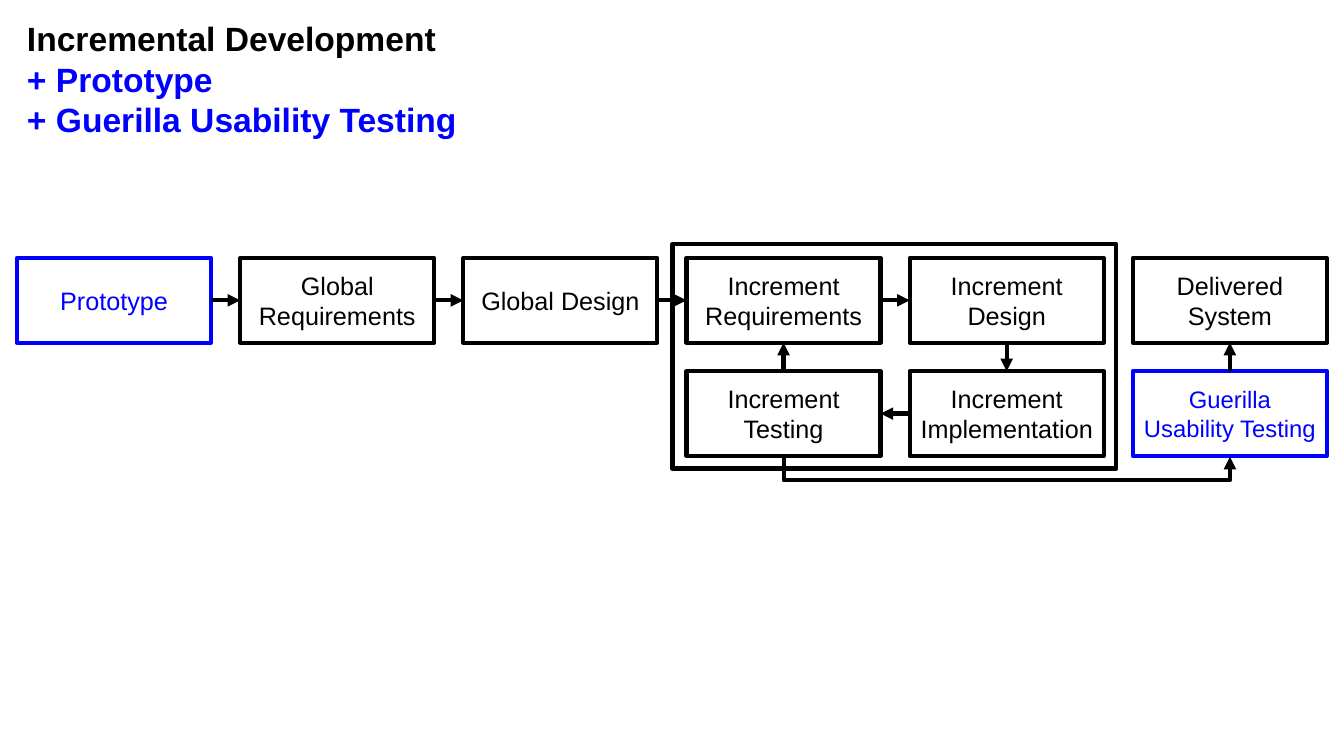
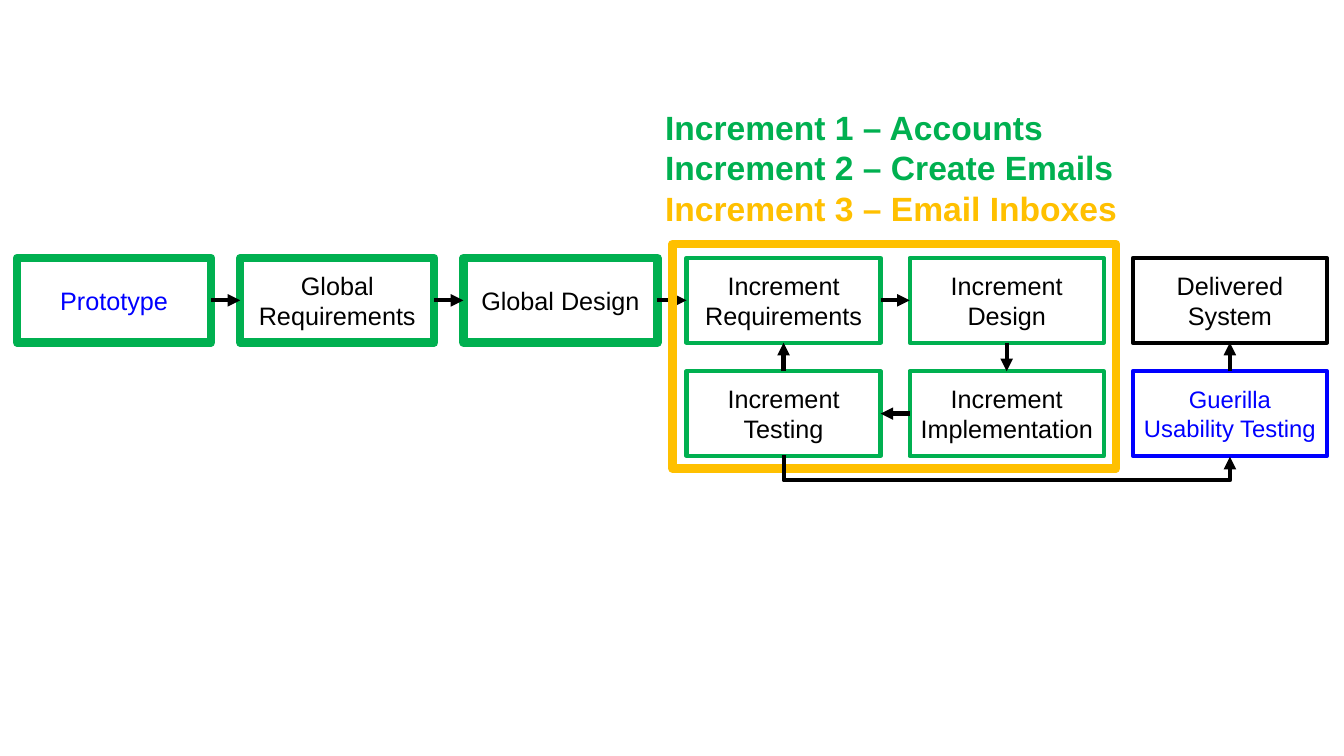
from lxml import etree
from pptx import Presentation
from pptx.dml.color import RGBColor
from pptx.enum import shapes, text
from pptx.oxml import ns
from pptx.util import Pt

COLORS = {"black": "000000", "white": "FFFFFF", "blue": "0000FF",
          "green": "00B050", "amber": "FFC000"}
FONT = "Arial"
LEFT, TOP = 12.2, 184.3
BOX_W, BOX_H = 138.6, 60.5
COL_STEP, ROW_STEP = 159.4, 80.9
THIN, THICK = 3, 6
FRAME = (480.3, 174.3, 317, 160.4)
ELBOW_DROP = 18

# name: (column, row, text colour, size)
BOXES = {
    "Prototype": (0, 0, "blue", 18),
    "Global Requirements": (1, 0, "black", 18),
    "Global Design": (2, 0, "black", 18),
    "Increment Requirements": (3, 0, "black", 18),
    "Increment Design": (4, 0, "black", 18),
    "Increment Implementation": (4, 1, "black", 18),
    "Increment Testing": (3, 1, "black", 18),
    "Delivered System": (5, 0, "black", 18),
    "Guerilla Usability Testing": (5, 1, "blue", 17),
}
# from cell to neighbouring cell, each (column, row)
ARROWS = [((0, 0), (1, 0)), ((1, 0), (2, 0)), ((2, 0), (3, 0)), ((3, 0), (4, 0)),
          ((4, 0), (4, 1)), ((4, 1), (3, 1)), ((3, 1), (3, 0)), ((5, 1), (5, 0))]

SLIDES = [
    {"heading": [("Incremental Development", "black"), ("+ Prototype", "blue"),
                 ("+ Guerilla Usability Testing", "blue")],
     "heading_at": (12.2, 9.4, 935, 94.3),
     "outlines": {},
     "frame": ("black", THIN)},
    {"heading": [("Increment 1 – Accounts", "green"),
                 ("Increment 2 – Create Emails", "green"),
                 ("Increment 3 – Email Inboxes", "amber")],
     "heading_at": (468, 72.7, 345.6, 94.3),
     "outlines": {0: ("green", THICK), 1: ("green", THICK), 2: ("green", THICK),
                  3: ("green", THIN), 4: ("green", THIN)},
     "frame": ("amber", THICK)},
]


def style_text(p, color, size, bold=False):
    for r in p.runs:
        r.font.name, r.font.size, r.font.bold = FONT, Pt(size), bold
        r.font.color.rgb = RGBColor.from_string(COLORS[color])


def add_arrow(s, kind, *ends):
    c = s.shapes.add_connector(kind, *map(Pt, ends))
    c.line.width = Pt(THIN)
    c.line.color.rgb = RGBColor.from_string(COLORS["black"])
    etree.SubElement(c.line._get_or_add_ln(), ns.qn("a:tailEnd"), type="triangle")
    etree.SubElement(c._element.spPr, ns.qn("a:effectLst"))
    return c


prs = Presentation()
prs.slide_width, prs.slide_height = Pt(960), Pt(540)

for content in SLIDES:
    s = prs.slides.add_slide(prs.slide_layouts[6])

    for name, (col, row, color, size) in BOXES.items():
        sp = s.shapes.add_shape(shapes.MSO_SHAPE.RECTANGLE,
                                Pt(LEFT + col * COL_STEP), Pt(TOP + row * ROW_STEP),
                                Pt(BOX_W), Pt(BOX_H))
        sp.shadow.inherit = False
        sp.fill.solid()
        sp.fill.fore_color.rgb = RGBColor.from_string(COLORS["white"])
        outline, width = content["outlines"].get(col, (color, THIN))
        sp.line.color.rgb = RGBColor.from_string(COLORS[outline])
        sp.line.width = Pt(width)
        tf = sp.text_frame
        tf.word_wrap = True
        tf.vertical_anchor = text.MSO_ANCHOR.MIDDLE
        tf.text = name
        tf.paragraphs[0].alignment = text.PP_ALIGN.CENTER
        style_text(tf.paragraphs[0], color, size)

    # Arrows run from the edge of one box to the facing edge of the next
    for (c1, r1), (c2, r2) in ARROWS:
        dx, dy = (c2 - c1) * BOX_W / 2, (r2 - r1) * BOX_H / 2
        x1, x2 = (LEFT + BOX_W / 2 + c * COL_STEP for c in (c1, c2))
        y1, y2 = (TOP + BOX_H / 2 + r * ROW_STEP for r in (r1, r2))
        add_arrow(s, shapes.MSO_CONNECTOR.STRAIGHT, x1 + dx, y1 + dy, x2 - dx, y2 - dy)

    frame = s.shapes.add_shape(shapes.MSO_SHAPE.RECTANGLE, *map(Pt, FRAME))
    frame.shadow.inherit = False
    frame.fill.background()
    outline, width = content["frame"]
    frame.line.color.rgb = RGBColor.from_string(COLORS[outline])
    frame.line.width = Pt(width)

    # U-shaped arrow under Increment Testing and Guerilla Usability Testing:
    # a one-point-wide elbow turned by 270 degrees, its bend pushed outside
    span = 2 * COL_STEP
    mid_x = LEFT + BOX_W / 2 + 4 * COL_STEP
    mid_y = TOP + ROW_STEP + BOX_H
    elbow = add_arrow(s, shapes.MSO_CONNECTOR.ELBOW, mid_x + 0.5, mid_y - span / 2,
                      mid_x - 0.5, mid_y + span / 2)
    elbow._element.spPr.find(ns.qn("a:xfrm")).set("rot", str(270 * 60000))
    geom = elbow._element.spPr.find(ns.qn("a:prstGeom"))
    etree.SubElement(geom.get_or_add_avLst(), ns.qn("a:gd"), name="adj1",
                     fmla=f"val {ELBOW_DROP * 100000}")

    tf = s.shapes.add_textbox(*map(Pt, content["heading_at"])).text_frame
    tf.word_wrap = True
    tf.text = "\n".join(line for line, _ in content["heading"])
    for p, (_, color) in zip(tf.paragraphs, content["heading"]):
        style_text(p, color, 24, bold=True)

prs.save("out.pptx")
